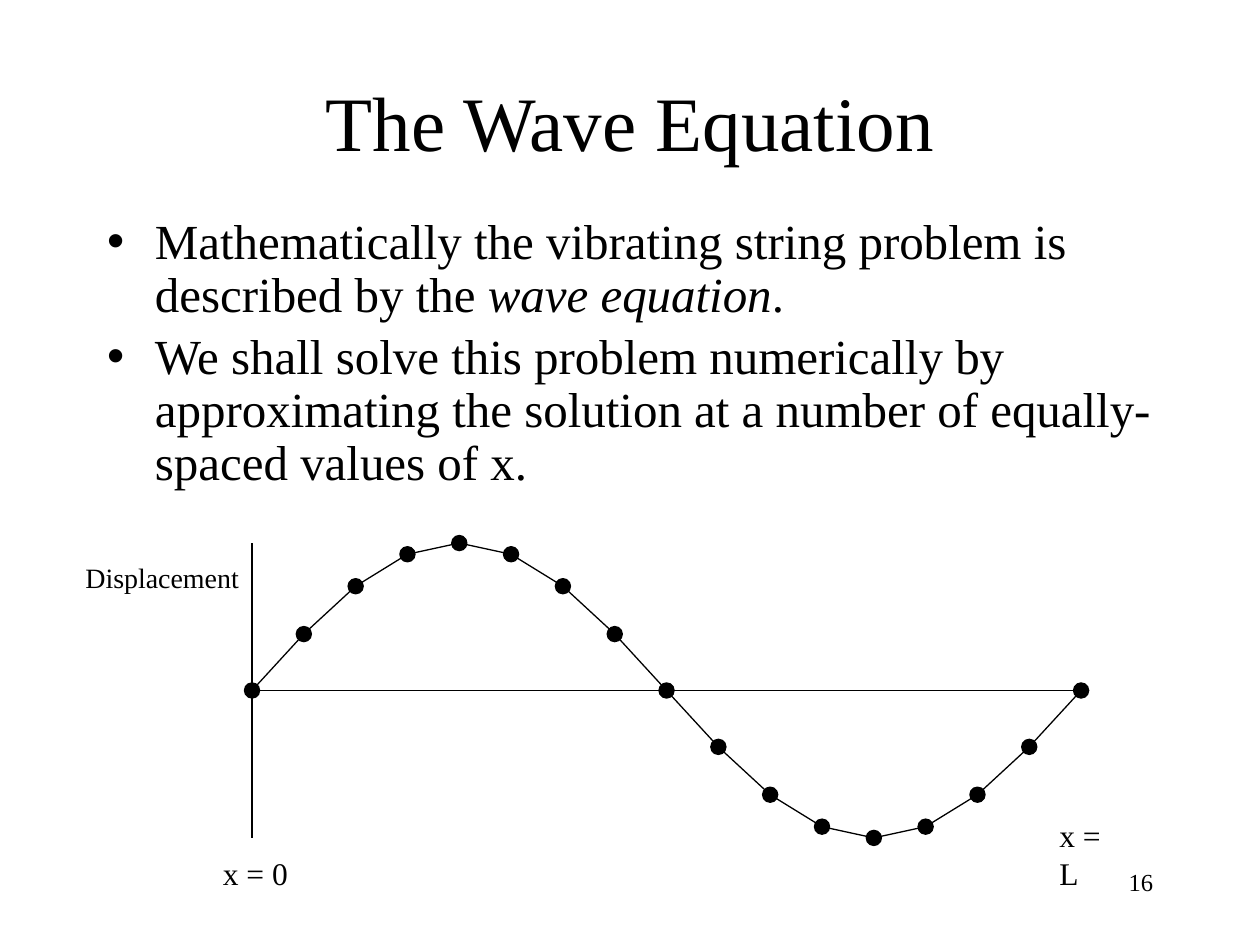
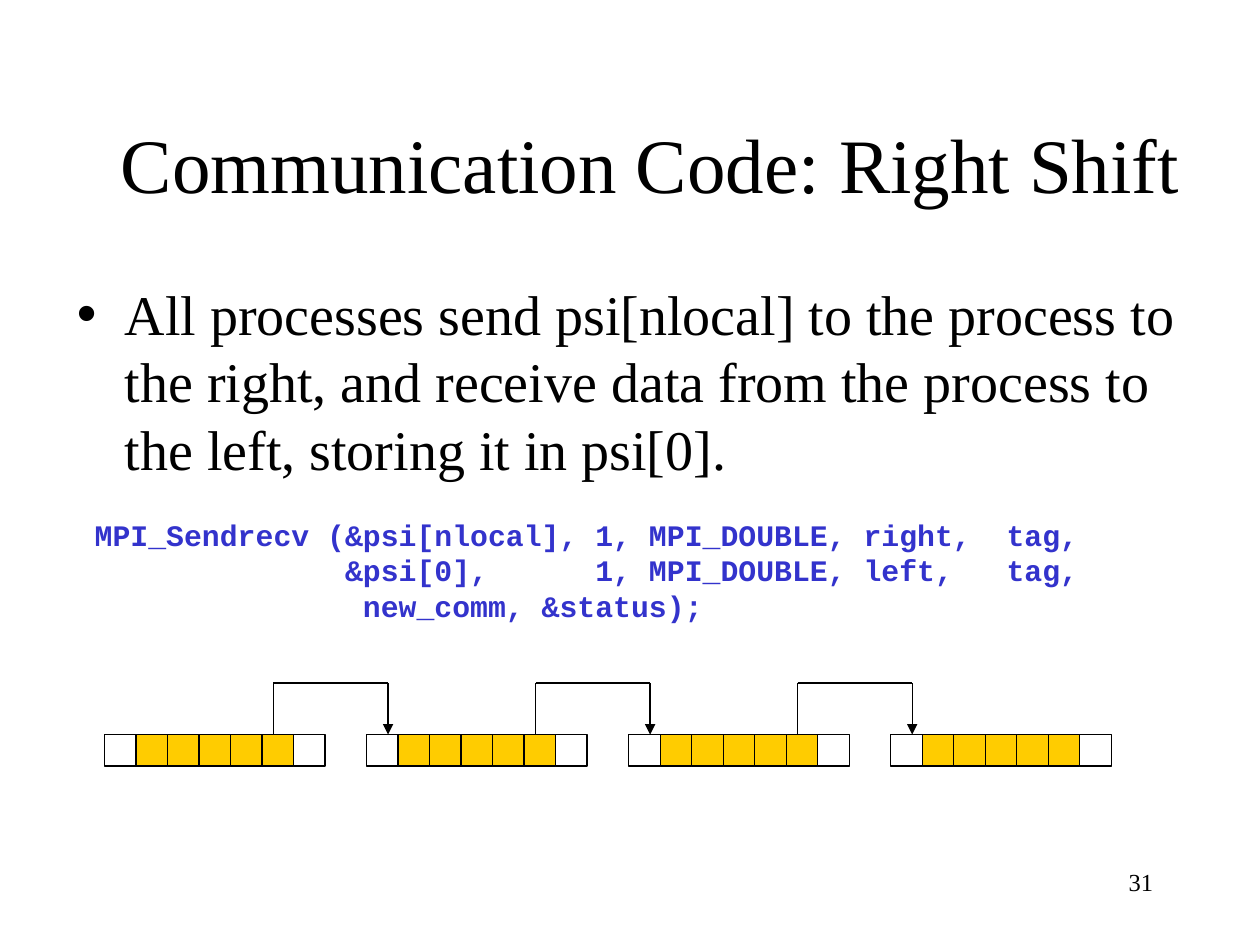
from dataclasses import dataclass
from itertools import pairwise
from math import pi, sin

from lxml.etree import SubElement
from pptx import Presentation
from pptx.dml.color import RGBColor
from pptx.enum.shapes import MSO_CONNECTOR, MSO_SHAPE
from pptx.enum.text import MSO_ANCHOR, MSO_AUTO_SIZE, PP_ALIGN
from pptx.oxml.ns import qn
from pptx.util import Inches, Pt


@dataclass(frozen=True)
class Theme:
    ink: RGBColor = RGBColor(0, 0, 0)
    paper: RGBColor = RGBColor(255, 255, 255)
    code: RGBColor = RGBColor(0x33, 0x33, 0xCC)
    cell: RGBColor = RGBColor(0xFF, 0xCC, 0x00)
    serif: str = "Times New Roman"
    mono: str = "Courier New"
    title_size: int = 44
    body_size: int = 32
    compact_size: int = 28
    code_size: int = 17
    label_size: int = 18
    axis_size: int = 16
    number_size: int = 14
    line: float = 0.75


T = Theme()


def place(shape, left, top, width, height):
    shape.left, shape.top = Inches(left), Inches(top)
    shape.width, shape.height = Inches(width), Inches(height)


def add_run(p, text, size, font=T.serif, color=T.ink, bold=False, italic=False):
    r = p.add_run()
    r.text = text
    r.font.name = font
    r.font.size = Pt(size)
    r.font.color.rgb = color
    r.font.bold = bold
    r.font.italic = italic


def add_title(s, text, box):
    title = s.shapes.title
    place(title, *box)
    tf = title.text_frame
    tf.auto_size = MSO_AUTO_SIZE.NONE
    tf.vertical_anchor = MSO_ANCHOR.MIDDLE
    p = tf.paragraphs[0]
    p.alignment = PP_ALIGN.CENTER
    add_run(p, text, T.title_size)


def get_body(s, box):
    body = s.placeholders[1]
    place(body, *box)
    tf = body.text_frame
    tf.auto_size = MSO_AUTO_SIZE.NONE
    tf.vertical_anchor = MSO_ANCHOR.TOP
    return tf


def add_paragraph(tf, bullet, space_before=0, line_spacing=1.0):
    first = tf.paragraphs[0]
    fresh = not first.runs
    p = first if fresh else tf.add_paragraph()
    pPr = p._p.get_or_add_pPr()
    pPr.set("marL", str(Inches(0.38)))
    pPr.set("indent", str(Inches(-0.38)))
    if bullet:
        SubElement(pPr, qn("a:buChar")).set("char", "•")
    else:
        SubElement(pPr, qn("a:buNone"))
    p.line_spacing = line_spacing
    p.space_before = Pt(0 if fresh else space_before)
    return p


def add_label(s, text, size, box, align=PP_ALIGN.LEFT, wrap=False):
    tf = s.shapes.add_textbox(*map(Inches, box)).text_frame
    tf.word_wrap = wrap
    p = tf.paragraphs[0]
    p.alignment = align
    add_run(p, text, size)


def add_number(s, number):
    add_label(s, number, T.number_size, (7.17, 6.83, 2.08, 0.5), PP_ALIGN.RIGHT, True)


def add_line(s, start, end, arrow=False):
    line = s.shapes.add_connector(
        MSO_CONNECTOR.STRAIGHT, *map(Inches, (*start, *end)))
    line.line.color.rgb = T.ink
    line.line.width = Pt(T.line)
    if arrow:
        SubElement(line.line._get_or_add_ln(), qn("a:tailEnd")).set("type", "triangle")
    SubElement(line._element.spPr, qn("a:effectLst"))


def add_figure(s, kind, left, top, size, fill):
    shape = s.shapes.add_shape(kind, *map(Inches, (left, top, size, size)))
    shape.shadow.inherit = False
    shape.fill.solid()
    shape.fill.fore_color.rgb = fill
    shape.line.color.rgb = T.ink
    shape.line.width = Pt(T.line)


def add_wave(s, left=2, middle=5.48, length=6.58, amplitude=1.17, steps=16, dot=0.12):
    add_line(s, (left, middle - amplitude), (left, middle + amplitude))
    add_line(s, (left, middle), (left + length, middle))
    points = [(left + length * i / steps, middle - amplitude * sin(2 * pi * i / steps))
              for i in range(steps + 1)]
    for start, end in pairwise(points):
        add_line(s, start, end)
    for x, y in points:
        add_figure(s, MSO_SHAPE.OVAL, x - dot / 2, y - dot / 2, dot, T.ink)


def add_processes(s, count=4, cells=7, left=0.83, top=5.83, cell=0.25, pitch=2.08):
    starts = [left + pitch * i for i in range(count)]
    for start in starts:
        for i in range(cells):
            fill = T.paper if i in (0, cells - 1) else T.cell
            add_figure(s, MSO_SHAPE.RECTANGLE, start + cell * i, top, cell, fill)
    lift = top - 0.41
    for sender, receiver in pairwise(starts):
        x1, x2 = sender + 1.34, receiver + 0.17
        add_line(s, (x1, top), (x1, lift))
        add_line(s, (x1, lift), (x2, lift))
        add_line(s, (x2, lift), (x2, top), arrow=True)


def wave_slide(prs):
    s = prs.slides.add_slide(prs.slide_layouts[1])
    add_title(s, "The Wave Equation", (0.75, 0.33, 8.5, 1.25))
    tf = get_body(s, (0.75, 1.67, 8.5, 1.17))
    bullets = [
        [("Mathematically the vibrating string problem is described by the ", False),
         ("wave equation", True), (".", False)],
        [("We shall solve this problem numerically by approximating the solution "
          "at a number of equally-spaced values of x.", False)],
    ]
    for runs in bullets:
        p = add_paragraph(tf, True, 0.2 * T.compact_size, 0.9)
        for text, italic in runs:
            add_run(p, text, T.compact_size, italic=italic)
    add_wave(s)
    add_label(s, "Displacement", T.axis_size, (0.58, 4.4, 1.43, 0.37))
    add_label(s, "x = 0", T.label_size, (1.67, 6.73, 0.72, 0.4))
    add_label(s, "x = L", T.label_size, (8.31, 6.43, 0.74, 0.4))
    add_number(s, "16")


def shift_slide(prs):
    s = prs.slides.add_slide(prs.slide_layouts[1])
    add_title(s, "Communication Code: Right Shift", (0.75, 0.67, 8.83, 1.25))
    tf = get_body(s, (0.51, 2.17, 9.29, 3.08))
    p = add_paragraph(tf, True)
    add_run(p, "All processes send psi[nlocal] to the process to the right, and receive "
               "data from the process to the left, storing it in psi[0].", T.body_size)
    code = [
        " MPI_Sendrecv (&psi[nlocal], 1, MPI_DOUBLE, right,  tag,",
        "               &psi[0],      1, MPI_DOUBLE, left,   tag,",
        "                new_comm, &status);",
    ]
    for i, text in enumerate(code):
        p = add_paragraph(tf, False, 20 if i == 0 else 0)
        add_run(p, text, T.code_size, T.mono, T.code, bold=True)
    add_processes(s)
    add_number(s, "31")


def main():
    prs = Presentation()
    prs.slide_width, prs.slide_height = Inches(10), Inches(7.5)
    wave_slide(prs)
    shift_slide(prs)
    prs.save("out.pptx")


if __name__ == "__main__":
    main()
